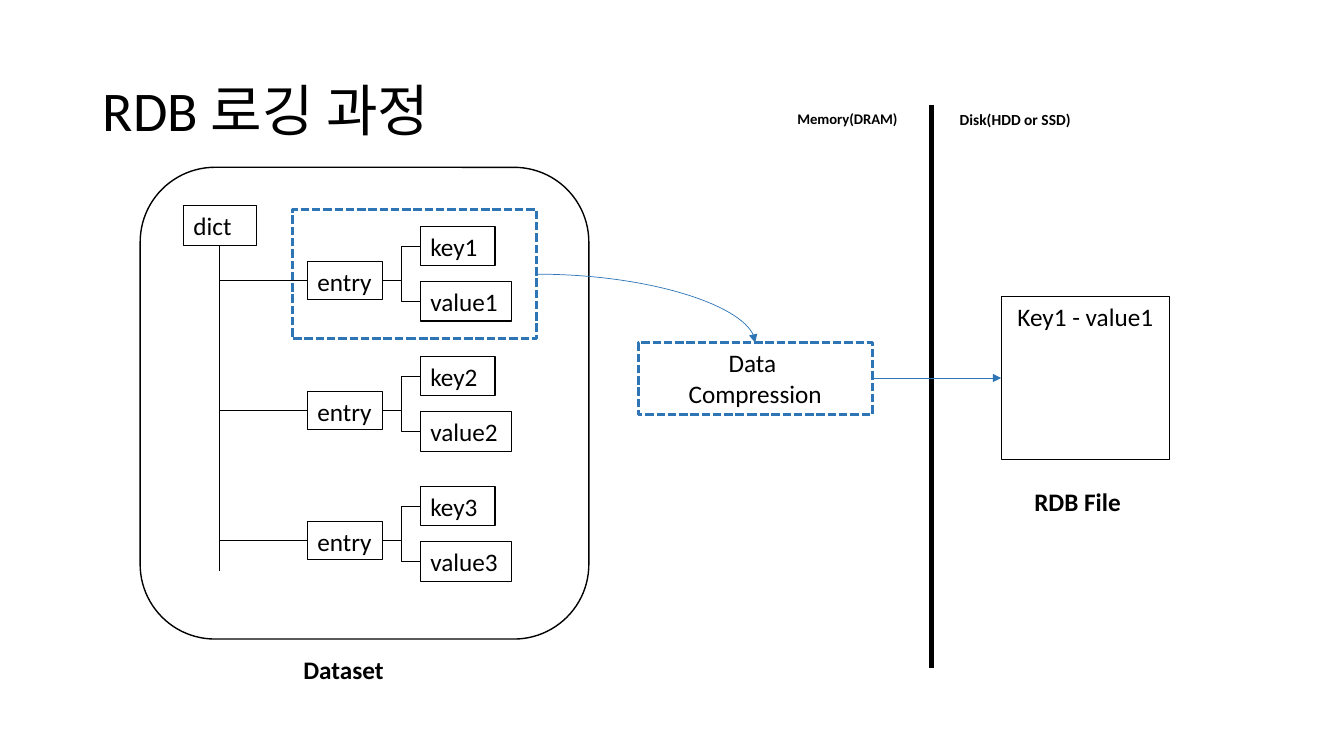
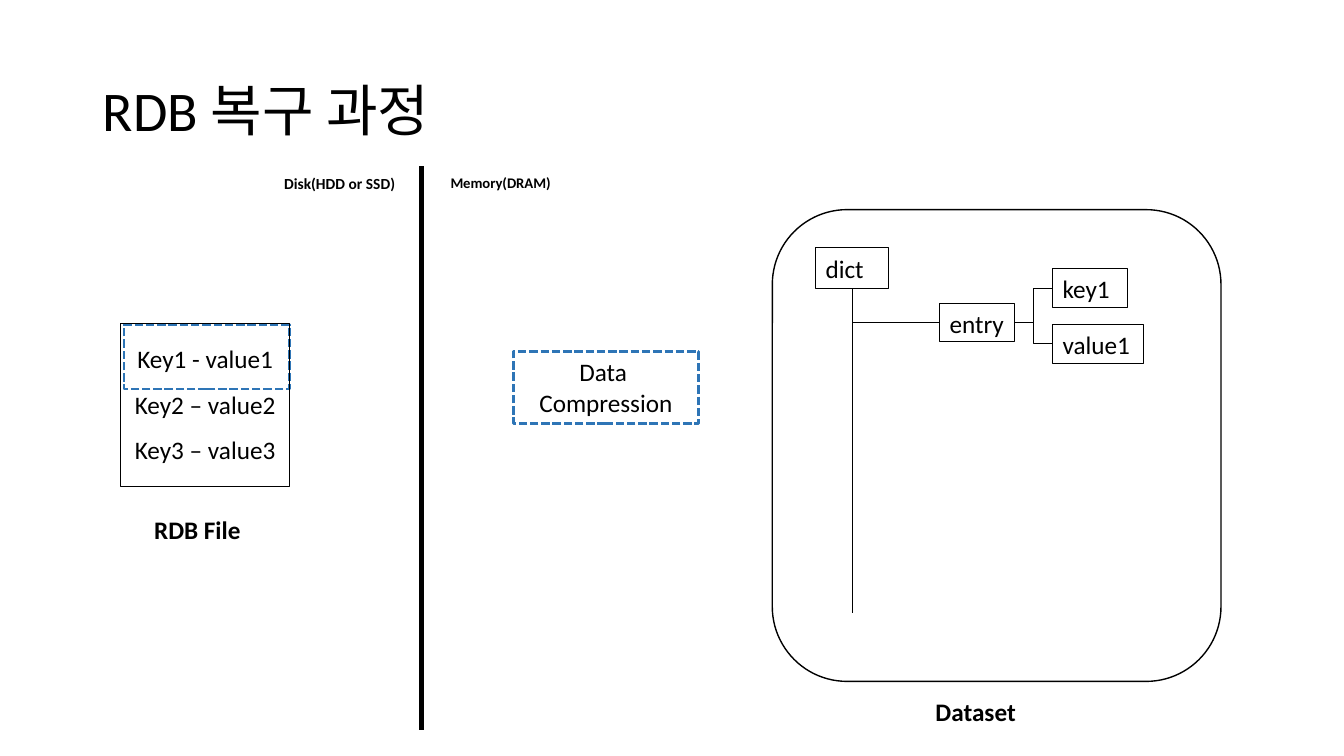
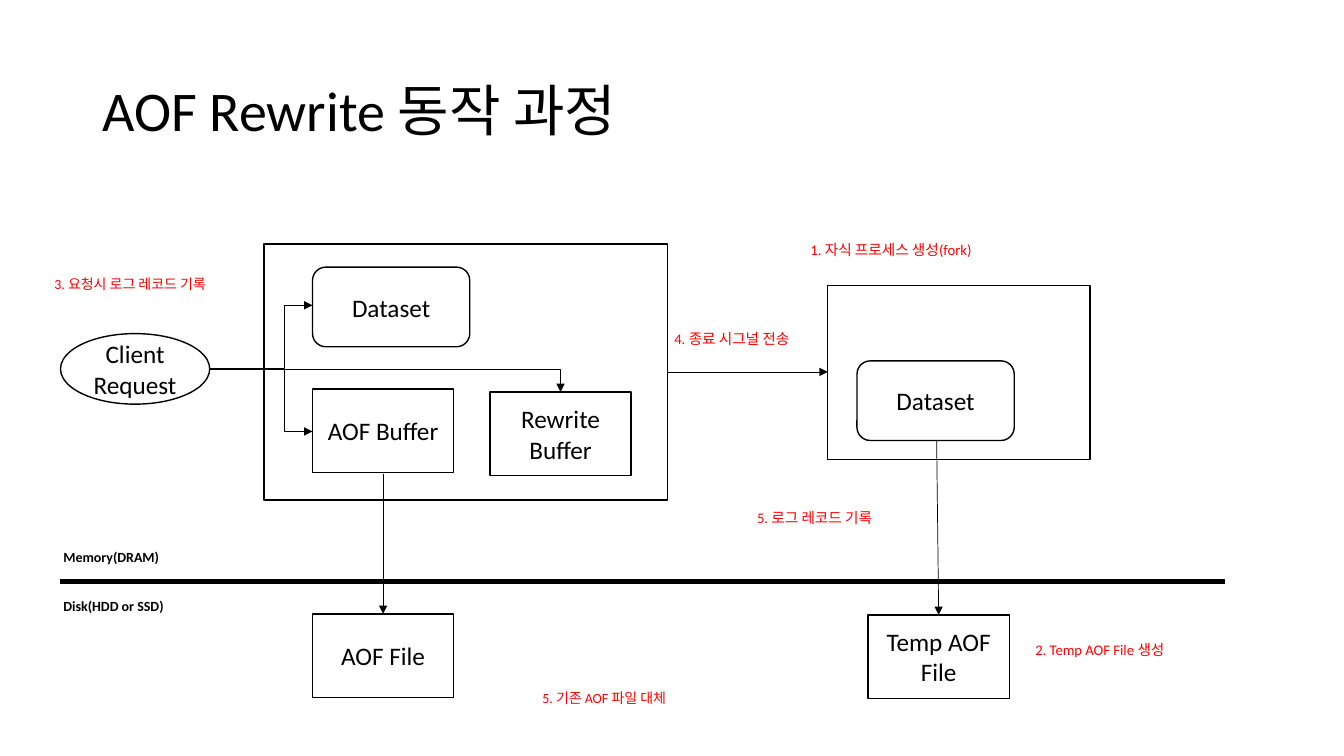
from dataclasses import dataclass

from pptx import Presentation
from pptx.dml.color import RGBColor
from pptx.enum import dml, shapes, text
from pptx.oxml import ns, xmlchemy
from pptx.util import Inches, Pt


@dataclass(frozen=True)
class Theme:
    font: str = "Calibri"
    ink: str = "000000"
    paper: str = "FFFFFF"
    accent: str = "2E75B6"
    note: str = "FF0000"
    title: float = 40
    body: float = 18
    label: float = 11
    small: float = 10.5
    tiny: float = 10
    hairline: float = 0.5
    thin: float = 0.75
    outline: float = 1
    dashed: float = 2
    divider: float = 3.75


THEME = Theme()
PRESET = shapes.MSO_SHAPE
LINK = shapes.MSO_CONNECTOR
LEFT, CENTER = text.PP_ALIGN.LEFT, text.PP_ALIGN.CENTER
TOP, MIDDLE = text.MSO_ANCHOR.TOP, text.MSO_ANCHOR.MIDDLE


# Shared text and shape helpers
def style_text(frame, words, size=THEME.body, color=THEME.ink, bold=False,
               align=LEFT, anchor=TOP, spacing=None):
    frame.text = words
    frame.word_wrap = True
    frame.vertical_anchor = anchor
    for para in frame.paragraphs:
        para.alignment = align
        para.line_spacing = spacing
        for span in para.runs:
            span.font.name = THEME.font
            span.font.size = Pt(size)
            span.font.bold = bold
            span.font.color.rgb = RGBColor.from_string(color)


def add_title_slide(deck, words):
    page = deck.slides.add_slide(deck.slide_layouts[5])
    title = page.shapes.title
    title.left, title.top = Inches(0.92), Inches(0.4)
    title.width, title.height = Inches(11.5), Inches(1.45)
    style_text(title.text_frame, words, THEME.title, anchor=MIDDLE, spacing=0.9)
    title.text_frame.auto_size = text.MSO_AUTO_SIZE.NONE
    return page


def add_text(page, words, left, top, width, height, **style):
    box = page.shapes.add_textbox(Inches(left), Inches(top), Inches(width), Inches(height))
    style_text(box.text_frame, words, **style)


def add_box(page, left, top, width, height, words="", preset=PRESET.RECTANGLE,
            fill=None, line=THEME.ink, weight=THEME.thin, dash=None, **style):
    box = page.shapes.add_shape(preset, Inches(left), Inches(top), Inches(width), Inches(height))
    box.shadow.inherit = False
    if fill:
        box.fill.solid()
        box.fill.fore_color.rgb = RGBColor.from_string(fill)
    else:
        box.fill.background()
    box.line.color.rgb = RGBColor.from_string(line)
    box.line.width = Pt(weight)
    box.line.dash_style = dash
    if words:
        style_text(box.text_frame, words, **style)
    return box


def add_dashed_box(page, left, top, width, height, words="", fill=None):
    add_box(page, left, top, width, height, words, fill=fill, line=THEME.accent,
            weight=THEME.dashed, dash=dml.MSO_LINE.SQUARE_DOT, align=CENTER)


def add_link(page, start, end, kind=LINK.STRAIGHT, color=THEME.ink,
             weight=THEME.hairline, arrow=False, preset=None, bend=None):
    link = page.shapes.add_connector(kind, *(Inches(n) for n in (*start, *end)))
    link.line.color.rgb = RGBColor.from_string(color)
    link.line.width = Pt(weight)
    properties = link._element.spPr
    geometry = properties.find(ns.qn("a:prstGeom"))
    if preset:
        geometry.set("prst", preset)
    if bend is not None:
        guide = xmlchemy.OxmlElement("a:gd")
        guide.set("name", "adj1")
        guide.set("fmla", f"val {round(bend * 100000)}")
        geometry.get_or_add_avLst().append(guide)
    if arrow:
        tail = xmlchemy.OxmlElement("a:tailEnd")
        tail.set("type", "triangle")
        properties.find(ns.qn("a:ln")).append(tail)
    properties.append(xmlchemy.OxmlElement("a:effectLst"))


# Parts of the RDB diagrams
def add_tree_node(page, words, left, middle, width, height):
    node = add_box(page, left, middle - height / 2, width, height, words)
    node.text_frame.margin_right = 0


def add_entry(page, left, middle, number):
    add_tree_node(page, "entry", left, middle, 0.74, 0.38)
    for name, width, shift in (("key", 0.74, -0.34), ("value", 0.9, 0.21)):
        add_tree_node(page, f"{name}{number}", left + 1.12, middle + shift, width, 0.39)
        add_link(page, (left + 0.74, middle), (left + 1.12, middle + shift), LINK.ELBOW)


def add_dataset(page, left, top, entries, highlight=False):
    add_box(page, left, top, 4.45, 4.68, preset=PRESET.ROUNDED_RECTANGLE,
            fill=THEME.paper, weight=THEME.outline)
    if highlight:
        add_dashed_box(page, left + 1.51, top + 0.42, 2.42, 1.28, fill=THEME.paper)
    trunk = left + 0.79
    add_tree_node(page, "dict", left + 0.43, top + 0.58, 0.72, 0.4)
    add_link(page, (trunk, top + 0.78), (trunk, top + 4))
    for index in range(entries):
        middle = top + 1.12 + 1.29 * index
        add_entry(page, left + 1.66, middle, index + 1)
        add_link(page, (left + 1.66, middle), (trunk, middle))
    add_text(page, "Dataset", left + 1.52, top + 4.78, 1.21, 0.4, bold=True)


def add_rdb_file(page, left, top, words, spacing=None):
    add_box(page, left, top, 1.67, 1.62, words, align=CENTER, spacing=spacing)
    add_text(page, "RDB File", left + 0.23, top + 1.84, 1.21, 0.4, bold=True)


def add_divider(page, x, top, label_top, memory_left, disk_left):
    add_link(page, (x, top), (x, top + 5.59), weight=THEME.divider)
    add_text(page, "Disk(HDD or SSD)", disk_left, label_top, 1.41, 0.29,
             size=THEME.label, bold=True)
    add_text(page, "Memory(DRAM)", memory_left, label_top, 1.37, 0.28,
             size=THEME.small, bold=True)


# Parts of the AOF diagram
def add_process(page, left, top, words="", width=1.4, height=0.83,
                preset=PRESET.FLOWCHART_PROCESS):
    add_box(page, left, top, width, height, words, preset, fill=THEME.paper,
            weight=THEME.outline, align=CENTER, anchor=MIDDLE)


def add_dataset_block(page, left, top):
    add_process(page, left, top, "Dataset", 1.56, 0.79, PRESET.FLOWCHART_ALTERNATE_PROCESS)


# Slides
def build_logging(deck):
    page = add_title_slide(deck, "RDB 로깅 과정")
    add_dataset(page, 1.39, 1.66, entries=3, highlight=True)
    add_dashed_box(page, 6.33, 3.4, 2.32, 0.71, "Data \vCompression")
    add_divider(page, 9.24, 1.04, 1.04, memory_left=7.81, disk_left=9.42)
    add_rdb_file(page, 9.93, 2.94, "Key1 - value1")
    add_link(page, (5.33, 2.72), (7.49, 3.4), LINK.CURVE, THEME.accent,
             arrow=True, preset="curvedConnector2")
    add_link(page, (8.65, 3.75), (9.93, 3.75), color=THEME.accent, arrow=True)


def build_recovery(deck):
    page = add_title_slide(deck, "RDB 복구 과정")
    add_divider(page, 4.18, 1.65, 1.68, memory_left=4.37, disk_left=2.72)
    add_dashed_box(page, 1.23, 3.22, 1.64, 0.64, fill=THEME.paper)
    add_rdb_file(page, 1.2, 3.21, "Key1 - value1\nKey2 – value2\nKey3 – value3", spacing=1.5)
    add_dashed_box(page, 5.09, 3.49, 1.84, 0.71, "Data \vCompression")
    add_dataset(page, 7.66, 2.08, entries=1)


def build_rewrite(deck):
    page = add_title_slide(deck, "AOF Rewrite 동작 과정")

    # Parent process, child process and client
    add_process(page, 2.62, 2.42, width=4, height=2.54)
    add_dataset_block(page, 3.1, 2.65)
    add_process(page, 3.1, 3.86, "AOF Buffer")
    add_process(page, 4.86, 3.89, "Rewrite Buffer")
    add_process(page, 8.21, 2.83, width=2.6, height=1.73)
    add_dataset_block(page, 8.5, 3.58)
    add_process(page, 0.6, 3.31, "Client Request", 1.48, 0.7, PRESET.FLOWCHART_CONNECTOR)

    # Memory above the divider, disk below
    add_link(page, (0.6, 5.77), (12.15, 5.77), weight=THEME.divider)
    add_process(page, 3.1, 6.09, "AOF File")
    add_process(page, 8.61, 6.1, "Temp AOF File")
    for words, top in (("Memory(DRAM)", 5.39), ("Disk(HDD or SSD)", 5.88)):
        add_text(page, words, 0.53, top, 2.31, 0.27, size=THEME.tiny, bold=True)

    # Numbered steps
    steps = (
        ("1. 자식 프로세스 생성(fork)", 7.94, 2.34, 2.23, THEME.small),
        ("2. Temp AOF File 생성", 10.17, 6.31, 1.75, THEME.small),
        ("3. 요청시 로그 레코드 기록", 0.44, 2.68, 2.19, THEME.tiny),
        ("4. 종료 시그널 전송", 6.59, 3.22, 1.56, THEME.small),
        ("5. 로그 레코드 기록", 7.41, 5, 2.31, THEME.small),
        ("5. 기존 AOF 파일 대체", 5.28, 6.79, 2.31, THEME.tiny),
    )
    for words, left, top, width, size in steps:
        add_text(page, words, left, top, width, 0.28, size=size, color=THEME.note)

    # Flow from the client, then between the processes and files
    client = (2.08, 3.66)
    for target_y in (3.03, 4.28):
        add_link(page, client, (3.1, target_y), LINK.ELBOW, arrow=True, bend=0.73)
    add_link(page, client, (5.56, 3.89), LINK.ELBOW, arrow=True, preset="bentConnector2")
    for start, end in (((6.62, 3.69), (8.21, 3.69)),
                       ((3.8, 4.7), (3.8, 6.09)),
                       ((9.29, 4.37), (9.31, 6.1))):
        add_link(page, start, end, arrow=True)


def main():
    deck = Presentation()
    deck.slide_width, deck.slide_height = Inches(13.33), Inches(7.5)
    build_logging(deck)
    build_recovery(deck)
    build_rewrite(deck)
    deck.save("out.pptx")


main()
